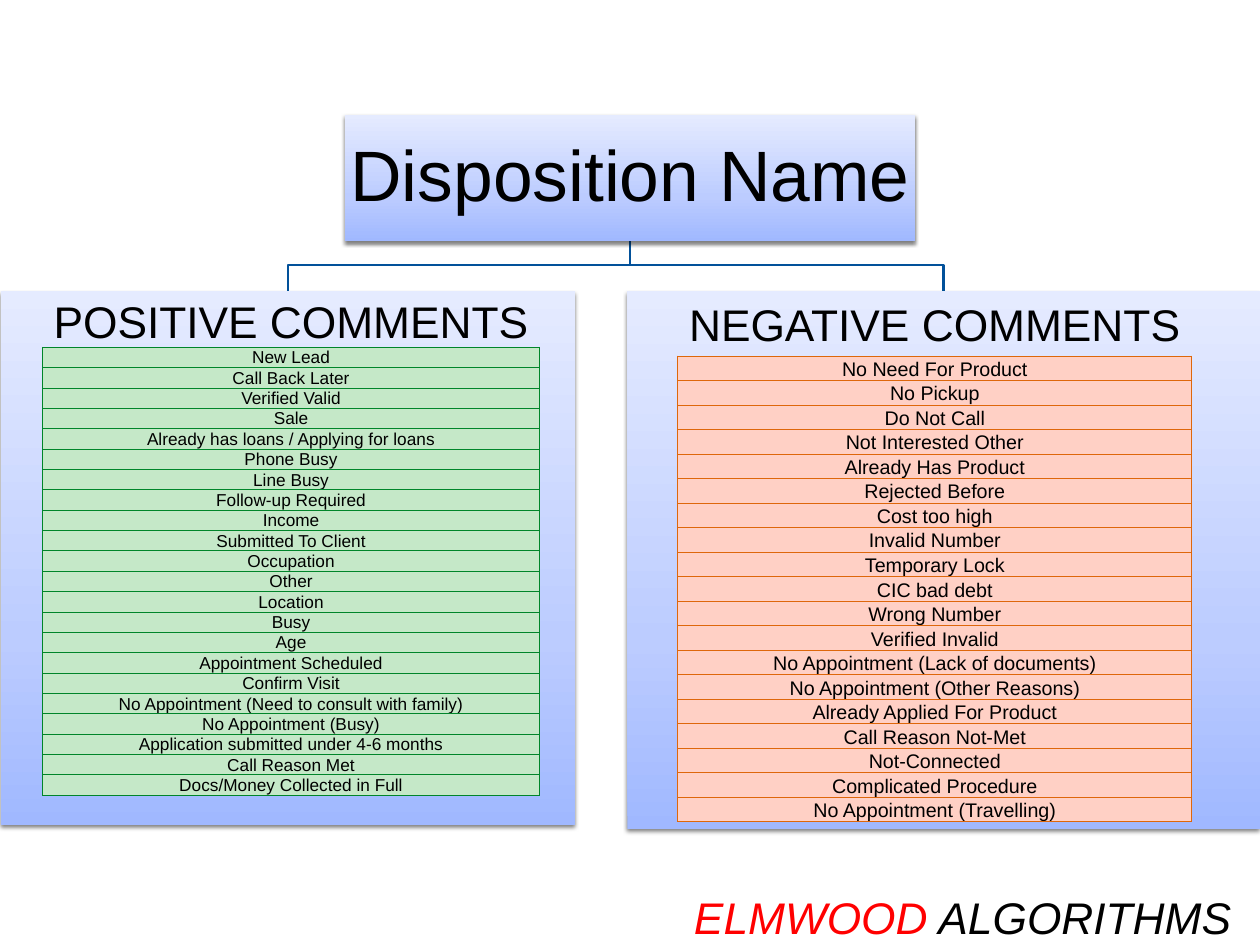
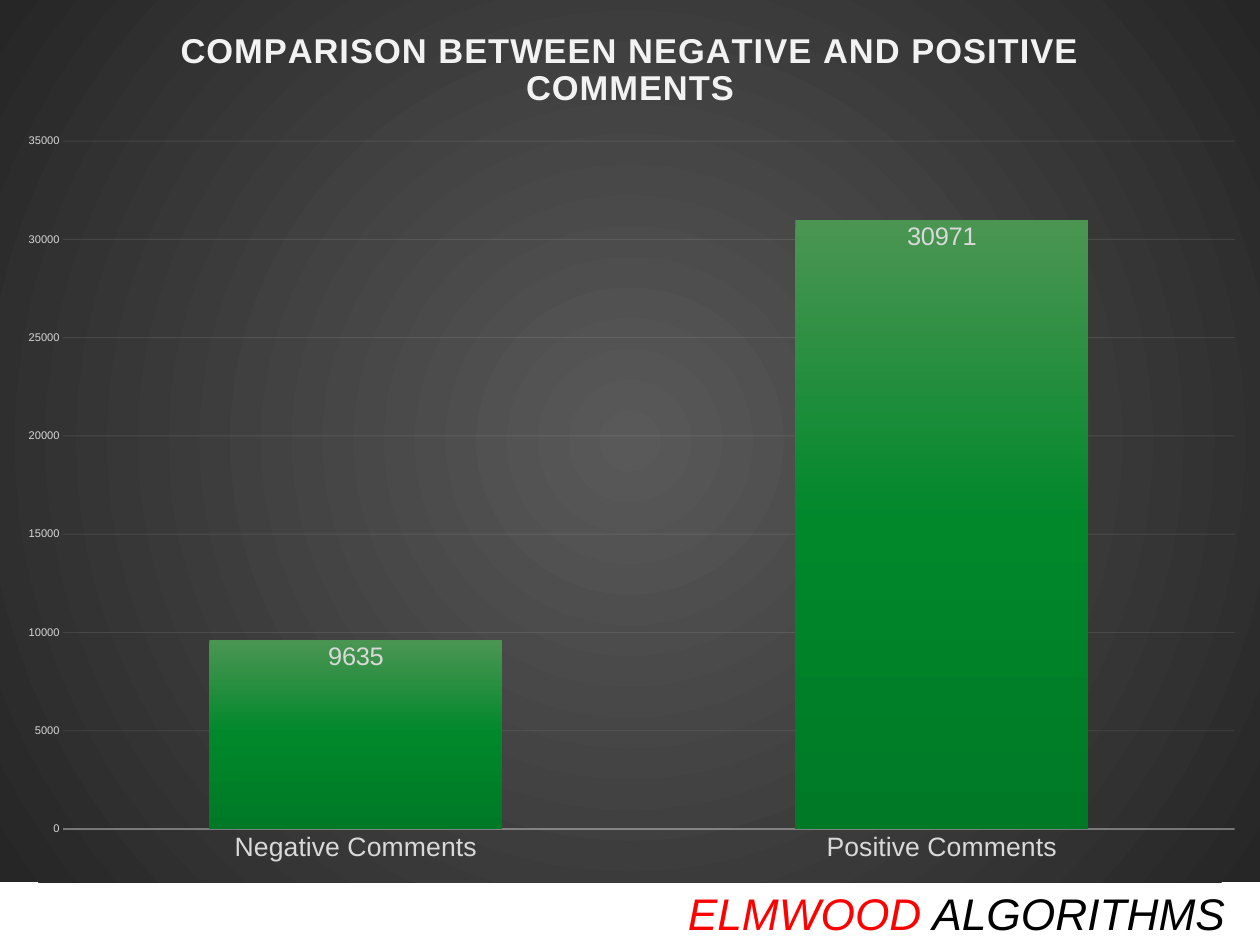
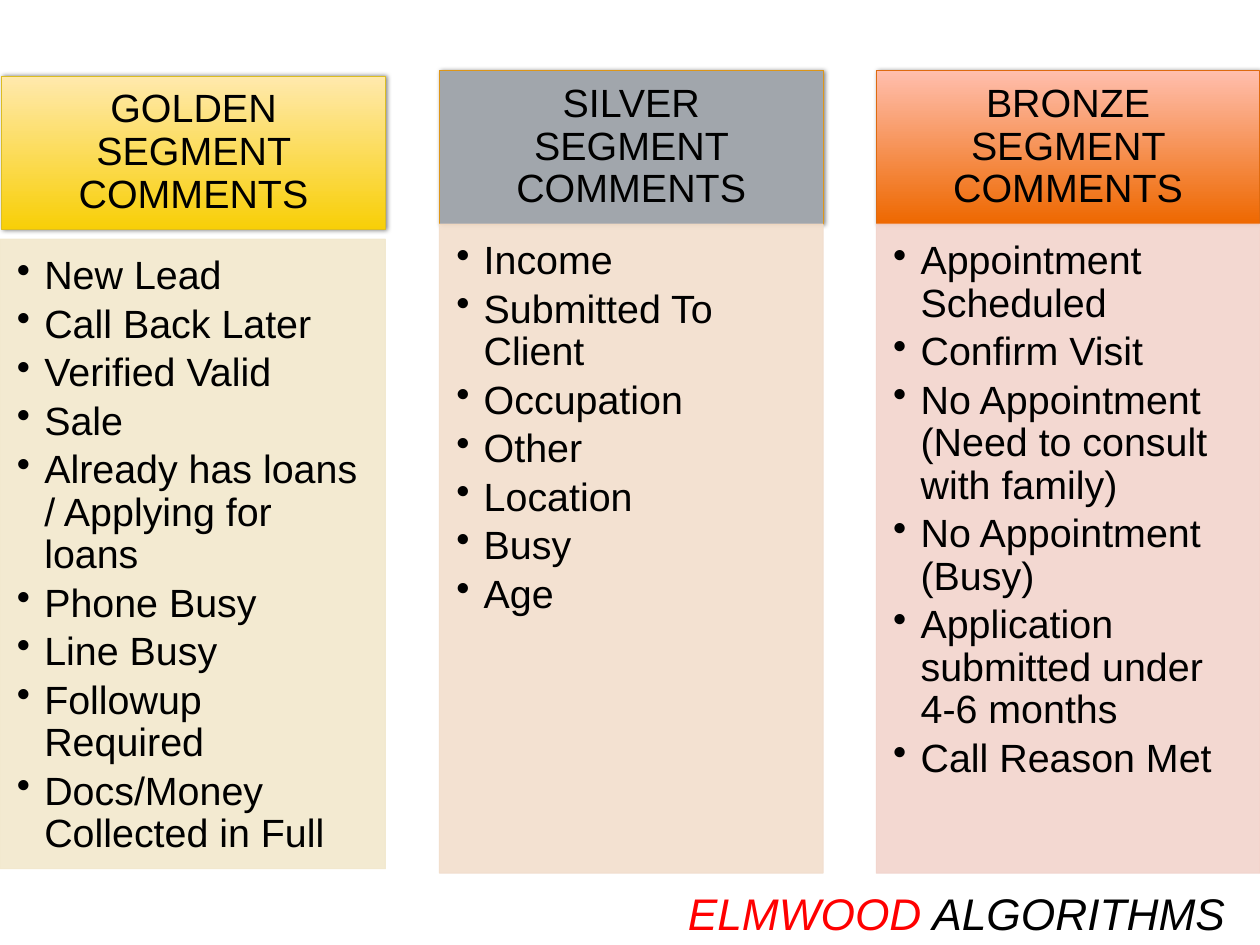
from lxml import etree
from pptx import Presentation
from pptx.chart.data import CategoryChartData
from pptx.dml.color import RGBColor
from pptx.enum.chart import XL_CHART_TYPE, XL_LABEL_POSITION, XL_TICK_MARK
from pptx.enum.shapes import MSO_SHAPE
from pptx.enum.text import MSO_ANCHOR, PP_ALIGN
from pptx.oxml import parse_xml
from pptx.oxml.ns import nsdecls, qn
from pptx.util import Inches, Pt

RECT = MSO_SHAPE.RECTANGLE
COLUMN = XL_CHART_TYPE.COLUMN_CLUSTERED
IN_END = XL_LABEL_POSITION.INSIDE_END
NO_TICK = XL_TICK_MARK.NONE
TOP, MID, LOW = MSO_ANCHOR.TOP, MSO_ANCHOR.MIDDLE, MSO_ANCHOR.BOTTOM
LEFT, MIDST = PP_ALIGN.LEFT, PP_ALIGN.CENTER
FONT = "Arial"
HEX = {
    "ink": "000000", "red": "FF0000", "link": "02519A",
    "mint": "C5E8C8", "green": "00852A", "pink": "FFD0C5", "rust": "DE670B",
    "pale": "F2F2F2", "mist": "D9D9D9",
}
RGB = {name: RGBColor.from_string(code) for name, code in HEX.items()}
BLUE = [(0, "A0B8FF"), (35, "BCCCFF"), (100, "E5EBFF")]
LINEAR = '<a:lin ang="{}" scaled="0"/>'
CIRCLE = '<a:path path="circle"><a:fillToRect l="50000" t="50000" r="50000" b="50000"/></a:path>'


def grad(stops, way):
    marks = "".join(
        f'<a:gs pos="{pos * 1000}"><a:srgbClr val="{code}"/></a:gs>' for pos, code in stops)
    return parse_xml(
        f'<a:gradFill {nsdecls("a")} rotWithShape="1"><a:gsLst>{marks}</a:gsLst>{way}</a:gradFill>')


def write(host, lines, size, pads, anchor=MID, align=MIDST, lead=1.0):
    frame = host.text_frame
    frame.word_wrap = True
    edge = frame if hasattr(host, "shape_type") else host
    edge.margin_left, edge.margin_top, edge.margin_right, edge.margin_bottom = map(Inches, pads)
    edge.vertical_anchor = anchor
    frame.text = "\n".join(lines)
    for para in frame.paragraphs:
        para.alignment = align
        para.line_spacing = lead
        for run in para.runs:
            run.font.size = Pt(size)
            run.font.name = FONT
            run.font.color.rgb = RGB["ink"]


deck = Presentation()
deck.slide_width, deck.slide_height = Inches(14.22), Inches(10.67)
first, second, third = [deck.slides.add_slide(deck.slide_layouts[6]) for _ in range(3)]

for end in (10.65, 3.25):
    pen = first.shapes.build_freeform(Inches(7.11), Inches(2.72), 1.0)
    pen.add_line_segments(
        [(Inches(x), Inches(y)) for x, y in ((7.11, 2.99), (end, 2.99), (end, 3.29))], close=False)
    link = pen.convert_to_shape()
    link.shadow.inherit = False
    link.fill.background()
    link.line.color.rgb = RGB["link"]
    link.line.width = Pt(2)

parts = [
    (first, (3.89, 1.3, 6.44, 1.42), BLUE, None, (3, 2, 90)),
    (first, (0.01, 3.29, 6.48, 6.03), BLUE, None, (3, 2, 90)),
    (first, (7.08, 3.29, 7.14, 6.07), BLUE, None, (3, 2, 90)),
    (third, (0.02, 0.86, 4.33, 1.73), [(0, "F8CF07"), (100, "FFE9AD")], "DCBD23", (4, 1, 0)),
    (third, (4.96, 0.8, 4.33, 1.73), [(0, "A1A6AC"), (100, "A1A6AC")], "DD9619", (4, 1, 0)),
    (third, (9.89, 0.8, 4.33, 1.73), [(0, "EE6800"), (100, "FFBEAD")], "DE6A10", (4, 1, 0)),
]
boxes = []
for slide, spot, stops, edge, (blur, dist, turn) in parts:
    box = slide.shapes.add_shape(RECT, *map(Inches, spot))
    box.fill.background()
    props = box._element.spPr
    props.replace(props.find(qn("a:noFill")), grad(stops, LINEAR.format(16200000)))
    if edge:
        box.line.color.rgb = RGBColor.from_string(edge)
        box.line.width = Pt(0.75)
    else:
        box.line.fill.background()
    box.shadow.inherit = False
    props.find(qn("a:effectLst")).append(parse_xml(
        f'<a:outerShdw {nsdecls("a")} blurRad="{Pt(blur)}" dist="{Pt(dist)}" dir="{turn * 60000}"'
        ' rotWithShape="0"><a:srgbClr val="000000"><a:alpha val="50000"/></a:srgbClr></a:outerShdw>'))
    boxes.append(box)
write(boxes[0], ["Disposition Name"], 58, (0.04,) * 4, lead=0.9)

good = [
    "New Lead", "Call Back Later", "Verified Valid", "Sale",
    "Already has loans / Applying for loans", "Phone Busy", "Line Busy", "Follow-up Required",
    "Income", "Submitted To Client", "Occupation", "Other", "Location", "Busy", "Age",
    "Appointment Scheduled", "Confirm Visit", "No Appointment (Need to consult with family)",
    "No Appointment (Busy)", "Application submitted under 4-6 months", "Call Reason Met",
    "Docs/Money Collected in Full",
]
bad = [
    "No Need For Product", "No Pickup", "Do Not Call", "Not Interested Other",
    "Already Has Product", "Rejected Before", "Cost too high", "Invalid Number",
    "Temporary Lock", "CIC bad debt", "Wrong Number", "Verified Invalid",
    "No Appointment (Lack of documents)", "No Appointment (Other Reasons)",
    "Already Applied For Product", "Call Reason Not-Met", "Not-Connected",
    "Complicated Procedure", "No Appointment (Travelling)",
]
lists = [
    ("POSITIVE COMMENTS", (0.24, 3.26, 6.09, 0.72), good, (0.48, 3.92, 5.61, 5.06), 14, "mint", "green"),
    ("NEGATIVE COMMENTS", (7.18, 3.3, 6.74, 0.72), bad, (7.65, 4.02, 5.8, 5.26), 16, "pink", "rust"),
]
for title, head, names, spot, size, fill, edge in lists:
    grid = first.shapes.add_table(len(names), 1, *map(Inches, spot)).table
    grid.first_row = grid.horz_banding = False
    for row, name in enumerate(names):
        cell = grid.cell(row, 0)
        write(cell, [name], size, (0.01, 0.01, 0.01, 0), LOW)
        cell.fill.solid()
        cell.fill.fore_color.rgb = RGB[fill]
        props = cell._tc.get_or_add_tcPr()
        for place, side in enumerate("LRTB"):
            props.insert(place, parse_xml(
                f'<a:ln{side} {nsdecls("a")} w="{Pt(0.75)}"><a:solidFill>'
                f'<a:srgbClr val="{HEX[edge]}"/></a:solidFill></a:ln{side}>'))
    label = first.shapes.add_textbox(*map(Inches, head))
    write(label, [title], 36, (0.06,) * 4)

data = CategoryChartData()
data.categories = ["Negative Comments", "Positive Comments"]
data.add_series("Series 1", (9635, 30971))
chart = second.shapes.add_chart(
    COLUMN, 0, 0, Inches(14.22), Inches(9.96), data).chart
chart.has_legend = False
chart.font.size, chart.font.name = Pt(10), FONT
back = parse_xml(f'<c:spPr {nsdecls("c", "a")}><a:ln><a:noFill/></a:ln></c:spPr>')
back.insert(0, grad([(0, "595959"), (100, "262626")], CIRCLE))
chart._chartSpace.find(qn("c:chart")).addnext(back)

chart.has_title = True
para = chart.chart_title.text_frame.paragraphs[0]
para.text = "COMPARISON BETWEEN NEGATIVE AND POSITIVE COMMENTS"
font = para.runs[0].font
font.size, font.bold, font.name = Pt(28), True, FONT
font.color.rgb = RGB["pale"]
font._element.set("spc", "100")
chart.chart_title.include_in_layout = False

area = chart._chartSpace.find(".//" + qn("c:plotArea"))
for old in area.findall(qn("c:layout")):
    area.remove(old)
sizes = "".join(
    f'<c:{key} val="{val}"/>' for key, val in
    (("layoutTarget", "inner"), ("xMode", "edge"), ("yMode", "edge"),
     ("x", 0.05), ("y", 0.16), ("w", 0.93), ("h", 0.78)))
area.insert(0, parse_xml(
    f'<c:layout {nsdecls("c")}><c:manualLayout>{sizes}</c:manualLayout></c:layout>'))

cats, vals = chart.category_axis, chart.value_axis
vals.minimum_scale, vals.maximum_scale, vals.major_unit = 0, 35000, 5000
vals.format.line.fill.background()
for axis, size in ((cats, 21.6), (vals, 9)):
    axis.major_tick_mark = axis.minor_tick_mark = NO_TICK
    font = axis.tick_labels.font
    font.size, font.name = Pt(size), FONT
    font.color.rgb = RGB["mist"]
for line, width, alpha in (
        (cats.format.line, 1, 54), (vals.major_gridlines.format.line, 0.75, 10)):
    line.color.rgb = RGB["pale"]
    line.width = Pt(width)
    tint = line._get_or_add_ln().find(".//" + qn("a:srgbClr"))
    etree.SubElement(tint, qn("a:alpha")).set("val", str(alpha * 1000))

plot = chart.plots[0]
plot.gap_width, plot.overlap, plot.vary_by_categories = 100, -24, False
bars = plot.series[0]
bars.format.fill.background()
props = bars._element.find(qn("c:spPr"))
props.replace(
    props.find(qn("a:noFill")),
    grad([(0, "4B9553"), (50, "00882B"), (100, "007926")], LINEAR.format(5400000)))
plot.has_data_labels = True
tags = plot.data_labels
tags.show_value, tags.position = True, IN_END
tags.font.size, tags.font.name = Pt(20.6), FONT
tags.font.color.rgb = RGB["mist"]

ranks = [
    ("GOLDEN", (0, 2.7, 4.35, 7.11), "F2E8CD", good[:7] + ["Followup Required", good[-1]]),
    ("SILVER", (4.96, 2.53, 4.33, 7.33), "F2DECC", good[8:15]),
    ("BRONZE", (9.89, 2.53, 4.33, 7.33), "F2D4CC", good[15:21]),
]
for head, (rank, spot, code, names) in zip(boxes[3:], ranks):
    write(head, [f"{rank} SEGMENT COMMENTS"], 32, (0.25, 0.14, 0.25, 0.14), lead=0.9)
    body = third.shapes.add_shape(RECT, *map(Inches, spot))
    body.shadow.inherit = False
    body.fill.solid()
    body.fill.fore_color.rgb = body.line.color.rgb = RGBColor.from_string(code)
    body.line.width = Pt(0.75)
    for tint in body._element.spPr.iter(qn("a:srgbClr")):
        etree.SubElement(tint, qn("a:alpha")).set("val", "90000")
    write(body, names, 32, (0.19, 0.19, 0.25, 0.28), TOP, LEFT, 0.9)
    for para in body.text_frame.paragraphs:
        para.space_after = Pt(4.8)
        props = para._p.get_or_add_pPr()
        props.set("marL", str(Inches(0.31)))
        props.set("indent", str(-Inches(0.31)))
        etree.SubElement(props, qn("a:buChar")).set("char", "•")

for slide, spot in (
        (first, (7.51, 10, 6.71, 0.67)), (second, (7.37, 9.96, 6.85, 0.71)),
        (third, (7.37, 9.96, 6.85, 0.71))):
    foot = slide.shapes.add_textbox(*map(Inches, spot))
    write(foot, ["ELMWOOD"], 36, (0.1, 0.05, 0.1, 0.05), TOP)
    para = foot.text_frame.paragraphs[0]
    para.add_run().text = " ALGORITHMS"
    for run, tone in zip(para.runs, ("red", "ink")):
        run.font.size, run.font.name, run.font.italic = Pt(36), FONT, True
        run.font.color.rgb = RGB[tone]

deck.save("out.pptx")
